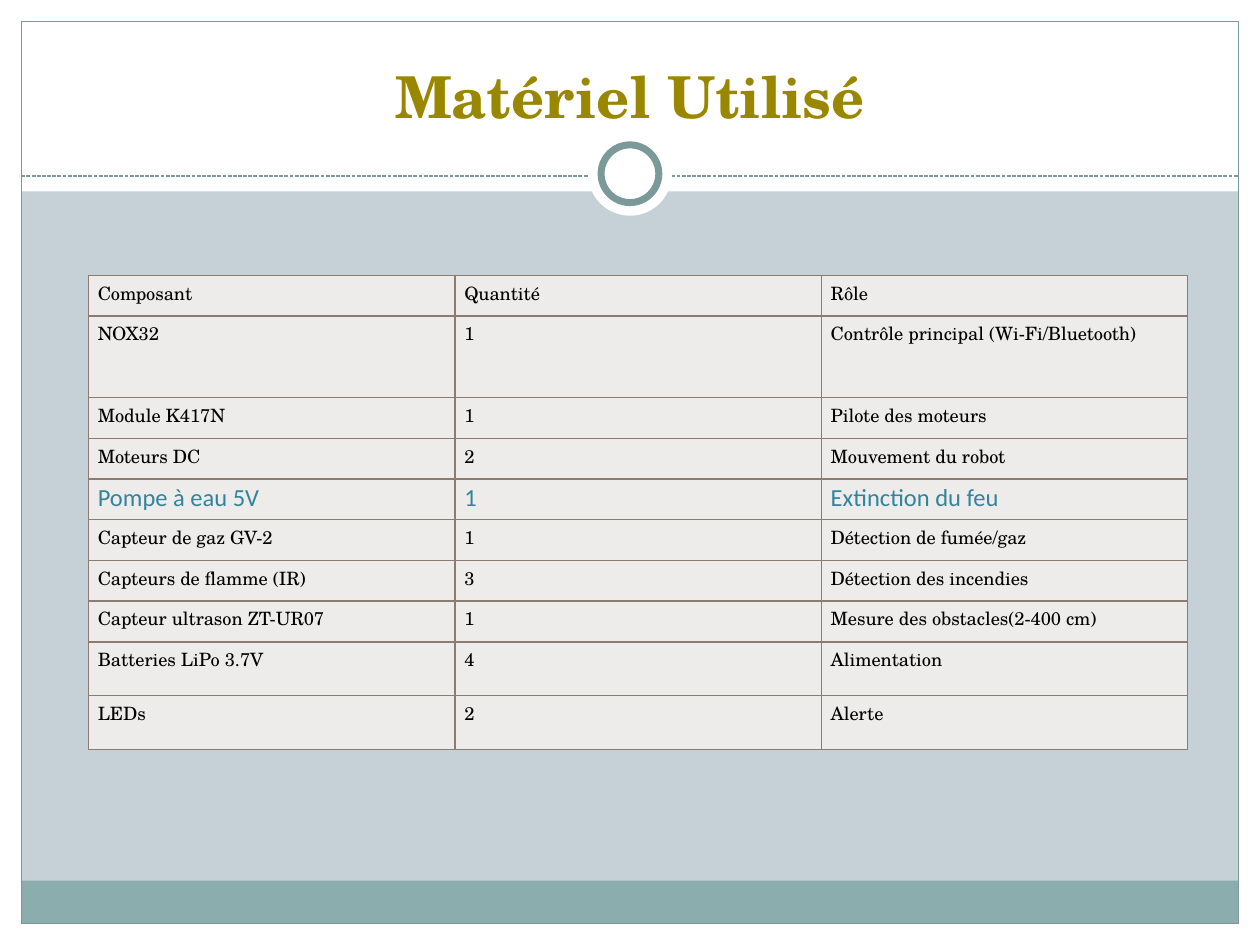
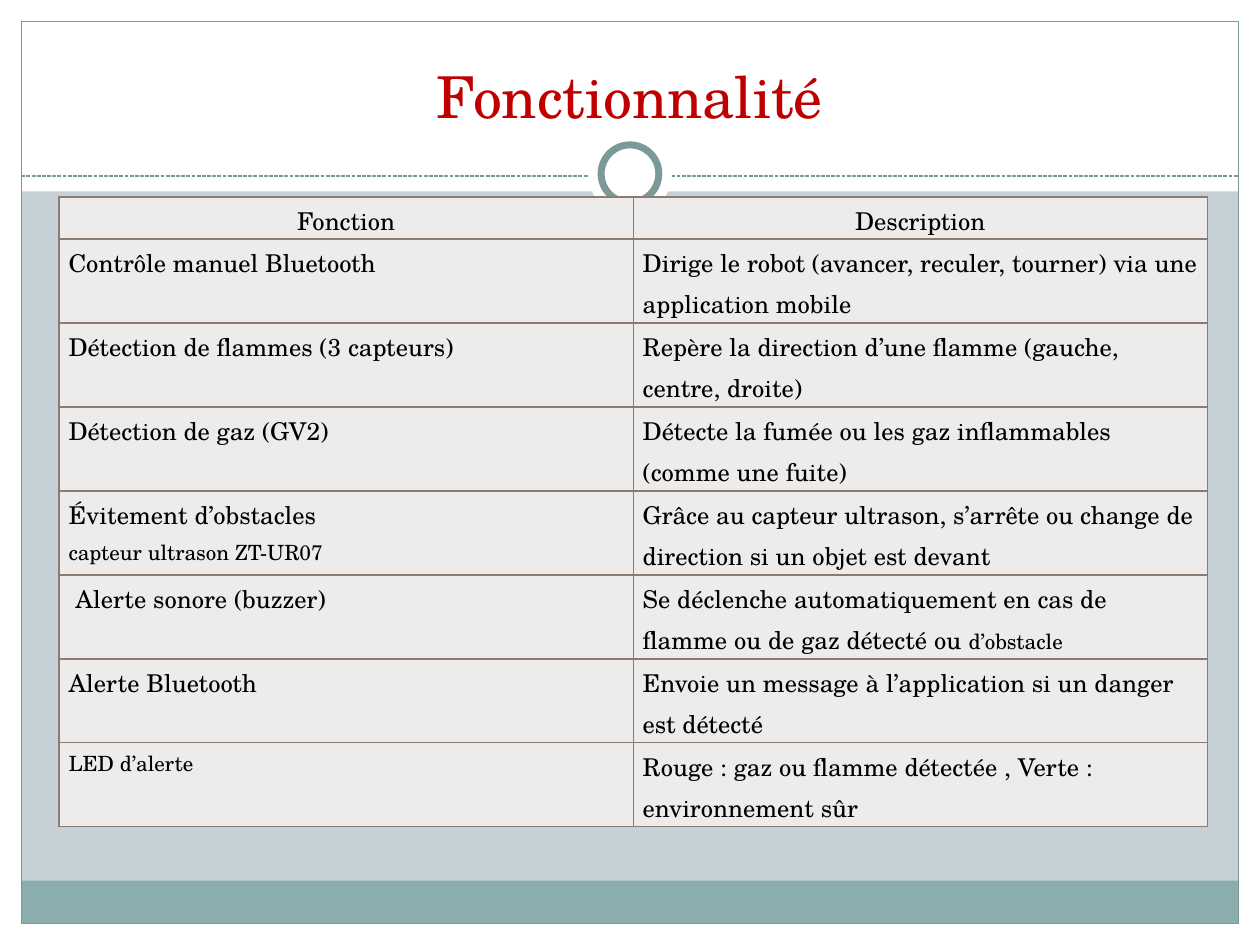
from lxml.etree import SubElement
from pptx import Presentation
from pptx.dml.color import RGBColor
from pptx.enum.dml import MSO_LINE
from pptx.enum.shapes import MSO_CONNECTOR, MSO_SHAPE
from pptx.enum.text import MSO_ANCHOR, PP_ALIGN
from pptx.oxml.ns import qn
from pptx.util import Pt

COLORS = {
    "background": "C5D1D7", "white": "FFFFFF", "band": "8CADAE", "frame": "7C999A",
    "cell": "EEECEB", "border": "8C7B70", "text": "000000",
    "gold": "998700", "red": "C00000", "teal": "31849B",
}
SERIF, SANS = "TeX Gyre Schola", "Calibri"
SLIDE_W, SLIDE_H = 720, 540
EDGE = 12.2          # white margin around the frame
HEADER_H = 109.4

MATERIALS = [
    ("Composant", "Quantité", "Rôle"),
    ("NOX32", "1", "Contrôle principal (Wi-Fi/Bluetooth)"),
    ("Module K417N", "1", "Pilote des moteurs"),
    ("Moteurs DC", "2", "Mouvement du robot"),
    ("Pompe à eau 5V", "1", "Extinction du feu"),
    ("Capteur de gaz GV-2", "1", "Détection de fumée/gaz"),
    ("Capteurs de flamme (IR)", "3", "Détection des incendies"),
    ("Capteur ultrason ZT-UR07", "1", "Mesure des obstacles(2-400 cm)"),
    ("Batteries LiPo 3.7V", "4", "Alimentation"),
    ("LEDs", "2", "Alerte"),
]
PUMP_ROW = 4

# A cell is a string, or a list of paragraphs made of (text, size) runs
FUNCTIONS = [
    ("Fonction", "Description"),
    ("Contrôle manuel Bluetooth",
     "Dirige le robot (avancer, reculer, tourner) via une application mobile"),
    ("Détection de flammes (3 capteurs)",
     "Repère la direction d’une flamme (gauche, centre, droite)"),
    ("Détection de gaz (GV2)",
     "Détecte la fumée ou les gaz inflammables (comme une fuite)"),
    ([[("Évitement d’obstacles", 14)], [("capteur ultrason ZT-UR07", 12)]],
     "Grâce au capteur ultrason, s’arrête ou change de direction si un objet est devant"),
    (" Alerte sonore (buzzer)",
     [[("Se déclenche automatiquement en cas de flamme ou de gaz détecté ou ", 14),
       ("d’obstacle", 12)]]),
    ("Alerte Bluetooth",
     "Envoie un message à l’application si un danger est détecté"),
    ([[("LED d’alerte", 12)]],
     "Rouge : gaz ou flamme détectée , Verte : environnement sûr"),
]


def rgb(name):
    return RGBColor.from_string(COLORS[name])


def add_run(p, text, size, color="text", font=SERIF, bold=False):
    r = p.add_run()
    r.text = text
    r.font.size, r.font.name, r.font.bold = Pt(size), font, bold
    r.font.color.rgb = rgb(color)


def add_plain(s, kind, box, fill=None, line=None, width=0.75):
    sp = s.shapes.add_shape(kind, *map(Pt, box))
    sp.shadow.inherit = False
    if fill:
        sp.fill.solid()
        sp.fill.fore_color.rgb = rgb(fill)
    else:
        sp.fill.background()
    if line:
        sp.line.color.rgb = rgb(line)
        sp.line.width = Pt(width)
    else:
        sp.line.fill.background()
    return sp


def add_ring(s, cx, cy):
    """White disc with an outlined circle at its centre."""
    for d, line in ((48, None), (33, "frame")):
        yield add_plain(s, MSO_SHAPE.OVAL, (cx - d / 2, cy - d / 2, d, d),
                        "white", line, 4)


def add_rule(s, x1, x2, y):
    line = s.shapes.add_connector(MSO_CONNECTOR.STRAIGHT, Pt(x1), Pt(y), Pt(x2), Pt(y))
    line.line.color.rgb = rgb("frame")
    line.line.width = Pt(0.75)
    line.line.dash_style = MSO_LINE.SQUARE_DOT
    line.line._ln.find(qn("a:prstDash")).set("val", "sysDash")
    SubElement(line._element.spPr, qn("a:effectLst"))
    return line


def decorate_master(master, s):
    """Build the shared frame on slide s, then move it to the master."""
    master.background.fill.solid()
    master.background.fill.fore_color.rgb = rgb("background")
    right, bottom = SLIDE_W - EDGE, SLIDE_H - EDGE
    inner_w, inner_h = right - EDGE, bottom - EDGE
    rect = MSO_SHAPE.RECTANGLE
    # White margins and header
    margins = [(0, bottom, SLIDE_W, EDGE), (0, 0, SLIDE_W, HEADER_H),
               (0, 0, EDGE, SLIDE_H), (right, 0, EDGE, SLIDE_H)]
    parts = [add_plain(s, rect, box, "white") for box in margins]
    # Footer band, frame, dashed rule and ring
    parts += [
        add_plain(s, rect, (EDGE, 503.2, inner_w, bottom - 503.2), "band"),
        add_plain(s, rect, (EDGE, EDGE, inner_w, inner_h), line="frame"),
        add_rule(s, EDGE, right, 100.6),
        *add_ring(s, SLIDE_W / 2, 99.3),
    ]
    for i, part in enumerate(parts):
        part._element.xpath(".//p:cNvPr")[0].set("id", str(100 + i))
        master.shapes._spTree.insert(2 + i, part._element)


def set_title(s, text, color, bold):
    sp = s.shapes.title
    sp.left, sp.top, sp.width, sp.height = map(Pt, (24, 18, 672, 60))
    tf = sp.text_frame
    tf.vertical_anchor = MSO_ANCHOR.BOTTOM
    p = tf.paragraphs[0]
    p.alignment = PP_ALIGN.CENTER
    add_run(p, text, 33, color, bold=bold)


def add_border(cell):
    tcPr = cell._tc.get_or_add_tcPr()
    for i, side in enumerate(("lnL", "lnR", "lnT", "lnB")):
        ln = tcPr.makeelement(qn(f"a:{side}"), {"w": str(Pt(1))})
        fill = SubElement(ln, qn("a:solidFill"))
        SubElement(fill, qn("a:srgbClr"), val=COLORS["border"])
        tcPr.insert(i, ln)


def fill_cell(cell, content, size, align, **style):
    cell.margin_left = cell.margin_right = Pt(5.4)
    cell.margin_top = cell.margin_bottom = 0
    cell.fill.solid()
    cell.fill.fore_color.rgb = rgb("cell")
    add_border(cell)
    tf = cell.text_frame
    paragraphs = [[(content, size)]] if isinstance(content, str) else content
    for i, runs in enumerate(paragraphs):
        p = tf.paragraphs[0] if i == 0 else tf.add_paragraph()
        p.line_spacing, p.alignment = 1.15, align
        for text, run_size in runs:
            add_run(p, text, run_size, **style)


def add_grid(s, x, y, w, rows, heights):
    """Empty table with equal columns and the given row heights."""
    cols = len(rows[0])
    table = s.shapes.add_table(len(rows), cols, Pt(x), Pt(y), Pt(w),
                               Pt(sum(heights))).table
    table.first_row = table.horz_banding = False
    for col in table.columns:
        col.width = Pt(w / cols)
    for row, h in zip(table.rows, heights):
        row.height = Pt(h)
    return table


def materials_table(s, x, y, w):
    heights = [23.3, 46.5] + [23.3] * 6 + [30.7] * 2
    table = add_grid(s, x, y, w, MATERIALS, heights)
    for i, row in enumerate(MATERIALS):
        pump = i == PUMP_ROW
        style = {"color": "teal", "font": SANS} if pump else {}
        for j, text in enumerate(row):
            fill_cell(table.cell(i, j), text, 14 if pump else 10.5, PP_ALIGN.LEFT, **style)


def functions_table(s, x, y, w):
    table = add_grid(s, x, y, w, FUNCTIONS, [24] + [48] * (len(FUNCTIONS) - 1))
    for i, row in enumerate(FUNCTIONS):
        for j, content in enumerate(row):
            align = PP_ALIGN.LEFT if i else PP_ALIGN.CENTER
            fill_cell(table.cell(i, j), content, 14, align)


def main():
    prs = Presentation()
    prs.slide_width, prs.slide_height = Pt(SLIDE_W), Pt(SLIDE_H)
    title_only = prs.slide_layouts[5]

    # Components
    s = prs.slides.add_slide(title_only)
    decorate_master(prs.slide_master, s)
    set_title(s, "Matériel Utilisé", "gold", True)
    materials_table(s, 50.5, 157.4, 628.2)

    # Features
    s = prs.slides.add_slide(title_only)
    set_title(s, "Fonctionnalité", "red", False)
    functions_table(s, 33.8, 112.5, 656.2)

    prs.save("out.pptx")


if __name__ == "__main__":
    main()
